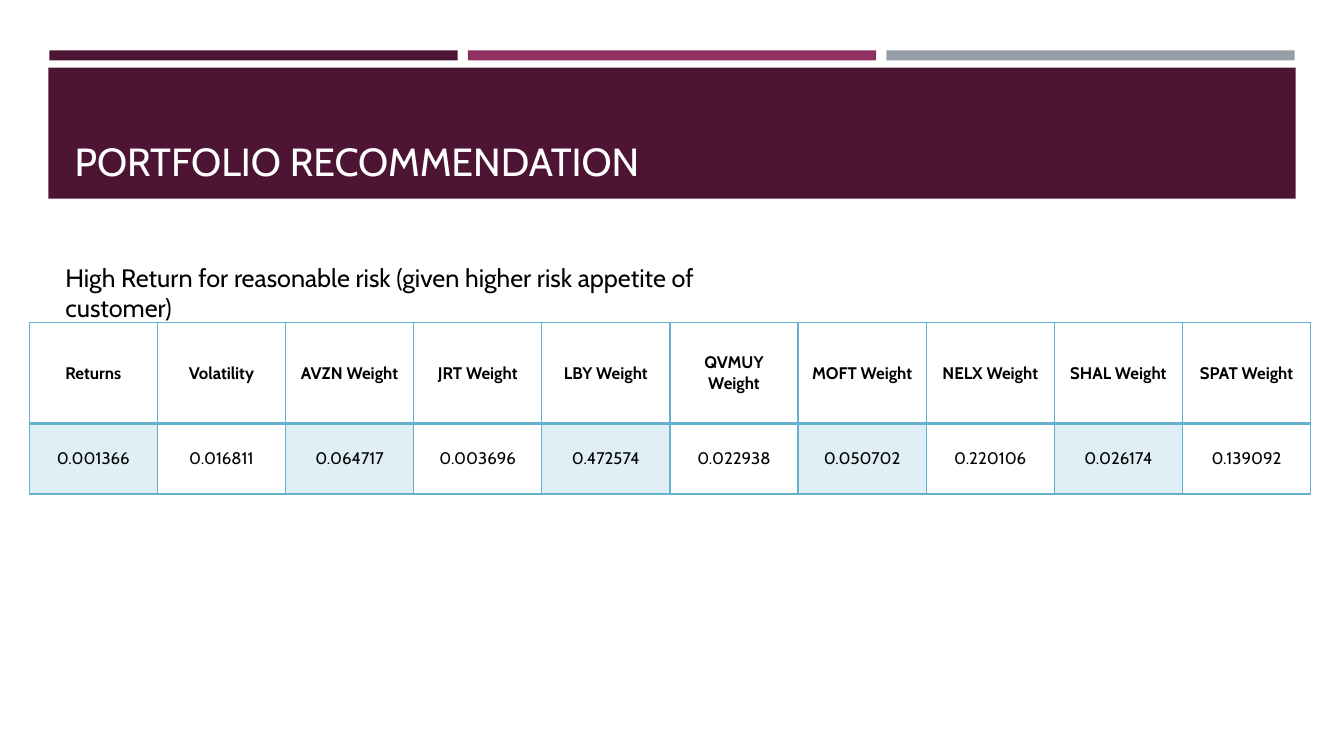
"""Build the portfolio recommendation slide with its weight table."""
from lxml.etree import SubElement
from pptx import Presentation
from pptx.dml.color import RGBColor
from pptx.enum.shapes import MSO_SHAPE
from pptx.enum.text import MSO_ANCHOR as Anchor, PP_ALIGN as Align
from pptx.oxml.ns import qn
from pptx.util import Inches, Pt

FONT = "Cabin"
PLUM = RGBColor(0x4D, 0x14, 0x34)
MAGENTA = RGBColor(0x90, 0x31, 0x63)
GRAY = RGBColor(0x96, 0x9F, 0xA7)
BLUE = RGBColor(0x66, 0xB1, 0xCE)
PALE_BLUE = RGBColor(0xE0, 0xEF, 0xF5)
WHITE = RGBColor(0xFF, 0xFF, 0xFF)
BLACK = RGBColor(0, 0, 0)

WEIGHTS = [
    ("Returns", "0.001366"),
    ("Volatility", "0.016811"),
    ("AVZN Weight", "0.064717"),
    ("JRT Weight", "0.003696"),
    ("LBY Weight", "0.472574"),
    ("QVMUY Weight", "0.022938"),
    ("MOFT Weight", "0.050702"),
    ("NELX Weight", "0.220106"),
    ("SHAL Weight", "0.026174"),
    ("SPAT Weight", "0.139092"),
]


def add_block(slide, left, top, width, height, color):
    block = slide.shapes.add_shape(
        MSO_SHAPE.RECTANGLE, Inches(left), Inches(top), Inches(width), Inches(height))
    block.shadow.inherit = False
    block.fill.solid()
    block.fill.fore_color.rgb = color
    block.line.fill.background()


def style_paragraph(paragraph, size, color, bold=False):
    paragraph.font.name = FONT
    paragraph.font.size = Pt(size)
    paragraph.font.bold = bold
    paragraph.font.color.rgb = color


presentation = Presentation()
presentation.slide_width = Inches(13.33)
presentation.slide_height = Inches(7.5)
slide = presentation.slides.add_slide(presentation.slide_layouts[5])

for column, color in enumerate((PLUM, MAGENTA, GRAY)):
    add_block(slide, 0.49 + column * 4.15, 0.5, 4.05, 0.1, color)
add_block(slide, 0.48, 0.67, 12.37, 1.3, PLUM)

title = slide.shapes.title
slide.shapes._spTree.append(title._element)
title.left, title.top = Inches(0.64), Inches(0.77)
title.width, title.height = Inches(12.06), Inches(1.11)
title.text_frame.text = "PORTFOLIO RECOMMENDATION"
title.text_frame.vertical_anchor = Anchor.BOTTOM
title_paragraph = title.text_frame.paragraphs[0]
title_paragraph.alignment = Align.LEFT
style_paragraph(title_paragraph, 28, WHITE)

table_shape = slide.shapes.add_table(
    2, len(WEIGHTS), Inches(0.29), Inches(3.2), Inches(12.71), Inches(1.7))
table = table_shape.table
table.first_row = table.horz_banding = False
table.rows[0].height = Inches(1)
table.rows[1].height = Inches(0.7)

for column, entry in enumerate(WEIGHTS):
    for row, text in enumerate(entry):
        is_header = row == 0
        cell = table.cell(row, column)
        cell.text = text
        cell.vertical_anchor = Anchor.MIDDLE
        paragraph = cell.text_frame.paragraphs[0]
        paragraph.alignment = Align.CENTER
        style_paragraph(paragraph, 12, BLACK, is_header)
        properties = cell._tc.get_or_add_tcPr()
        for side in ("lnL", "lnR", "lnT", "lnB"):
            width = Pt(2 if is_header and side == "lnB" else 1)
            border = SubElement(properties, qn(f"a:{side}"), w=str(width))
            border_fill = SubElement(border, qn("a:solidFill"))
            SubElement(border_fill, qn("a:srgbClr"), val=str(BLUE))
        if is_header or column % 2:
            cell.fill.background()
        else:
            cell.fill.solid()
            cell.fill.fore_color.rgb = PALE_BLUE

caption = slide.shapes.add_textbox(Inches(0.55), Inches(2.55), Inches(7.51), Inches(0.4))
caption.text_frame.word_wrap = True
caption.text_frame.text = (
    "High Return for reasonable risk (given higher risk appetite of customer)")
style_paragraph(caption.text_frame.paragraphs[0], 18, BLACK)

presentation.save("out.pptx")
